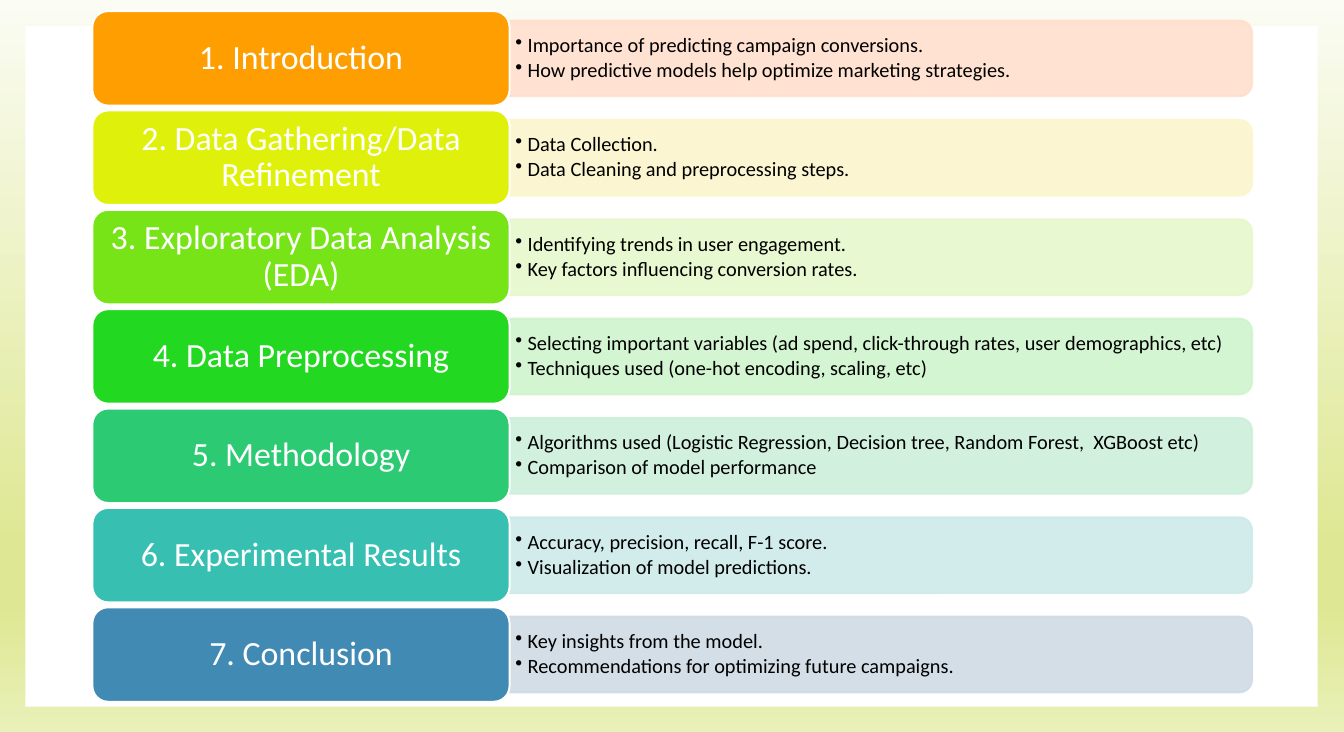
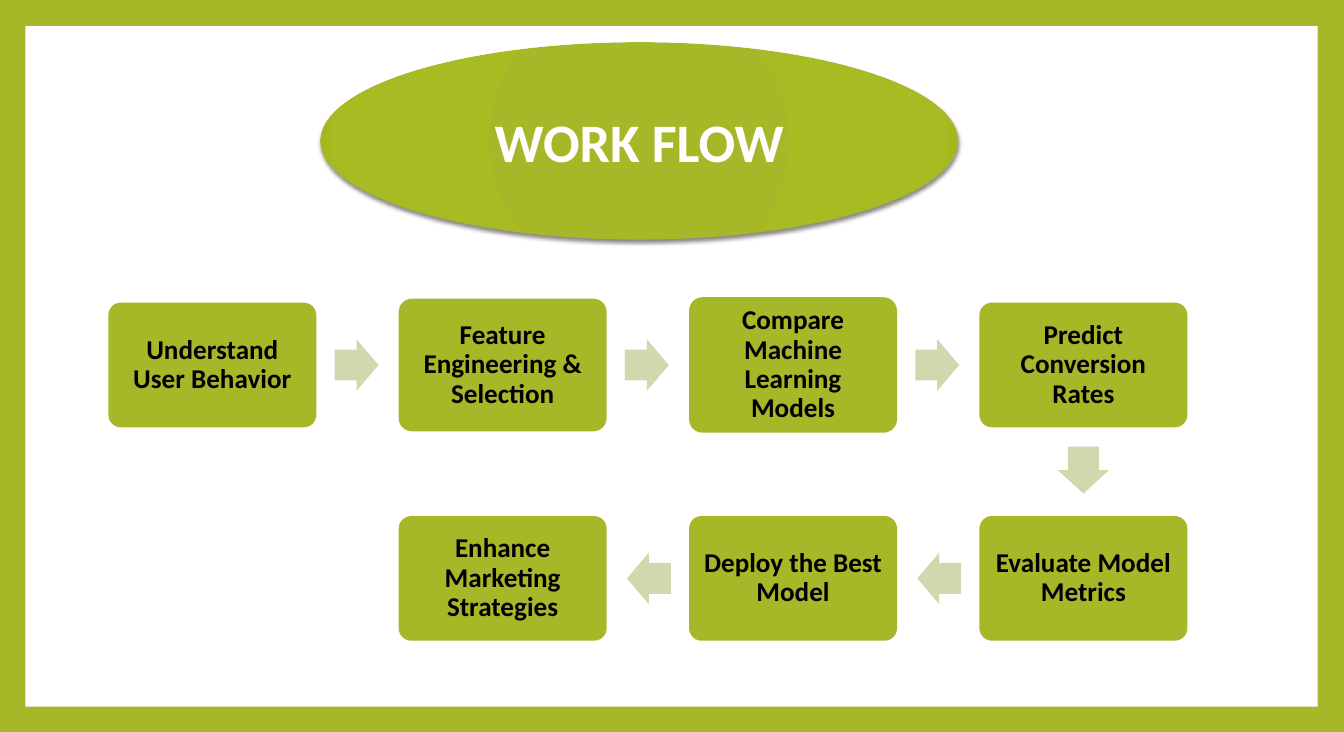
from math import atan2, degrees

from lxml.etree import SubElement
from pptx import Presentation
from pptx.dml.color import RGBColor
from pptx.enum.shapes import MSO_SHAPE as SHAPE
from pptx.enum.text import MSO_ANCHOR, MSO_AUTO_SIZE, PP_ALIGN
from pptx.oxml import parse_xml
from pptx.oxml.ns import nsdecls, qn
from pptx.util import Pt

WHITE = RGBColor(0xFF, 0xFF, 0xFF)
BLACK = RGBColor(0x00, 0x00, 0x00)
LIME = RGBColor(0xA6, 0xB7, 0x27)
PALE = RGBColor(0xD0, 0xD8, 0xAD)
SKY = [
    (0, RGBColor(0xFB, 0xFC, 0xF3)),
    (74, RGBColor(0xDE, 0xE8, 0x94)),
    (83, RGBColor(0xDE, 0xE8, 0x94)),
    (100, RGBColor(0xE9, 0xF0, 0xB8)),
]
GLOW = [(0, LIME), (90, RGBColor(0xA9, 0xBB, 0x23)), (100, RGBColor(0xA1, 0xB3, 0x16))]
DOWN = '<a:lin ang="5400000" scaled="0"/>'
ROUND = (
    '<a:path path="circle"><a:fillToRect l="100000" t="100000" '
    'r="100000" b="100000"/></a:path>'
)

FONT = "Calibri"
WIDE, HIGH = 992.13, 540.25
SHEET = (18.7, 19.3, 954, 502.2)

HEAD = {"size": Pt(25), "name": FONT}
POINT = {"size": Pt(15), "name": FONT}
STEP = {"size": Pt(20), "name": FONT, "bold": True}
TITLE = {"size": Pt(40), "name": FONT, "bold": True}
MID = {"alignment": PP_ALIGN.CENTER, "line_spacing": 0.9}
LEFT = {"alignment": PP_ALIGN.LEFT, "line_spacing": 0.9, "space_after": Pt(2.25)}

TOPICS = [
    ("1. Introduction", RGBColor(0xFE, 0x9E, 0x00), RGBColor(0xFF, 0xDF, 0xCC),
     ["Importance of predicting campaign conversions.",
      "How predictive models help optimize marketing strategies."]),
    ("2. Data Gathering/Data Refinement", RGBColor(0xDF, 0xF1, 0x0B), RGBColor(0xFB, 0xF6, 0xCC),
     ["Data Collection.",
      "Data Cleaning and preprocessing steps."]),
    ("3. Exploratory Data Analysis (EDA)", RGBColor(0x76, 0xE4, 0x16), RGBColor(0xE6, 0xF8, 0xCB),
     ["Identifying trends in user engagement.",
      "Key factors influencing conversion rates."]),
    ("4. Data Preprocessing", RGBColor(0x23, 0xD8, 0x21), RGBColor(0xCF, 0xF4, 0xCC),
     ["Selecting important variables (ad spend, click-through rates, user demographics, etc)",
      "Techniques used (one-hot encoding, scaling, etc)"]),
    ("5. Methodology", RGBColor(0x2C, 0xCB, 0x73), RGBColor(0xCC, 0xEF, 0xDB),
     ["Algorithms used (Logistic Regression, Decision tree, Random Forest,  XGBoost etc)",
      "Comparison of model performance"]),
    ("6. Experimental Results", RGBColor(0x37, 0xBF, 0xB2), RGBColor(0xCE, 0xEA, 0xE9),
     ["Accuracy, precision, recall, F-1 score.",
      "Visualization of model predictions."]),
    ("7. Conclusion", RGBColor(0x41, 0x8A, 0xB3), RGBColor(0xCF, 0xDB, 0xE5),
     ["Key insights from the model.",
      "Recommendations for optimizing future campaigns."]),
]

STEPS = [
    ("Understand User Behavior", 0, 0, 92),
    ("Feature Engineering & Selection", 1, 0, 98),
    ("Compare Machine Learning Models", 2, 0, 100),
    ("Predict Conversion Rates", 3, 0, 92),
    ("Evaluate Model Metrics", 3, 1, 92),
    ("Deploy the Best Model", 2, 1, 92),
    ("Enhance Marketing Strategies", 1, 1, 92),
]


def put(item, form):
    """Set each attribute named in a dict of format values."""
    for key, value in form.items():
        setattr(item, key, value)


def draw(slide, kind, box, fill, line=None, weight=1.5):
    """Add a flat preset shape in a box given in points."""
    shape = slide.shapes.add_shape(kind, *map(Pt, box))
    shape.shadow.inherit = False
    shape.fill.solid()
    shape.fill.fore_color.rgb = fill
    if line is None:
        shape.line.fill.background()
    else:
        shape.line.color.rgb = line
        shape.line.width = Pt(weight)
    return shape


def blend(solid, stops, tail):
    """Replace a solid fill element with a gradient."""
    marks = "".join(
        f'<a:gs pos="{spot * 1000}"><a:srgbClr val="{hue}"/></a:gs>' for spot, hue in stops
    )
    new = parse_xml(
        f'<a:gradFill {nsdecls("a")} rotWithShape="1"><a:gsLst>{marks}</a:gsLst>{tail}</a:gradFill>'
    )
    solid.getparent().replace(solid, new)


def write(shape, lines, font, hue, form, pad, dent=0):
    """Write paragraphs into a shape, with bullets when a dent is given."""
    frame = shape.text_frame
    side, edge = map(Pt, pad)
    put(frame, {
        "word_wrap": True, "auto_size": MSO_AUTO_SIZE.NONE,
        "vertical_anchor": MSO_ANCHOR.MIDDLE, "margin_left": side,
        "margin_right": side, "margin_top": edge, "margin_bottom": edge,
    })
    for num, line in enumerate(lines):
        para = frame.add_paragraph() if num else frame.paragraphs[0]
        if dent:
            props = para._p.get_or_add_pPr()
            props.set("marL", str(Pt(dent)))
            props.set("indent", str(-Pt(dent)))
            SubElement(props, qn("a:buChar")).set("char", "•")
        put(para, form)
        run = para.add_run()
        run.text = line
        for face in (para.font, run.font):
            put(face, font)
            face.color.rgb = hue


def base(deck, layout, hue):
    """Add a slide with a coloured ground and the white sheet behind all else."""
    slide = deck.slides.add_slide(deck.slide_layouts[layout])
    slide.background.fill.solid()
    slide.background.fill.fore_color.rgb = hue
    sheet = draw(slide, SHAPE.RECTANGLE, SHEET, WHITE)
    slide.shapes.element.insert(2, sheet.element)
    return slide


def topic(slide, box, head, hue, tint, points):
    """Place one heading card with its tinted panel of points."""
    left, top, width, height = box
    card, inset = 308, 7
    long, tall = width - card, height - 2 * inset
    panel = draw(
        slide, SHAPE.ROUND_2_SAME_RECTANGLE,
        (left + card + (long - tall) / 2, top + (height - long) / 2, tall, long), tint, tint,
    )
    panel.rotation = 90
    for tone in panel.element.xpath("./p:spPr//a:srgbClr"):
        SubElement(tone, qn("a:alpha")).set("val", "90000")
    spot = (left + card, top + inset, long, tall)
    text = slide.shapes.add_textbox(*map(Pt, spot))
    write(text, points, POINT, BLACK, LEFT, (4.3, 2), 9)
    label = draw(slide, SHAPE.ROUNDED_RECTANGLE, (left, top, card, height), hue, WHITE)
    write(label, [head], HEAD, WHITE, MID, (7, 3.6))


def topics(slide, box):
    """Stack the topics at equal steps in the box."""
    left, top, width, height = box
    tall = 69.8
    pitch = (height - tall) / (len(TOPICS) - 1)
    for num, item in enumerate(TOPICS):
        topic(slide, (left, top + num * pitch, width, tall), *item)


def title(slide, box):
    """Place the title on a shaded ellipse."""
    oval = draw(slide, SHAPE.OVAL, box, LIME, LIME, 0.79)
    blend(oval.element.xpath("./p:spPr/a:solidFill")[0], GLOW, ROUND)
    glow = oval.element.xpath("./p:spPr/a:effectLst")[0]
    glow.append(parse_xml(
        f'<a:outerShdw {nsdecls("a")} blurRad="{Pt(3)}" dist="{Pt(2)}" dir="5400000" '
        'rotWithShape="0"><a:srgbClr val="000000"><a:alpha val="45000"/></a:srgbClr></a:outerShdw>'
    ))
    name = slide.shapes.title
    put(name, dict(zip(("left", "top", "width", "height"), map(Pt, box))))
    write(name, ["WORK FLOW"], TITLE, WHITE, {"alignment": PP_ALIGN.CENTER}, (7.2, 3.6))
    slide.shapes.element.append(name.element)


def flow(slide, box):
    """Place the steps on a grid and join neighbours with block arrows."""
    left, top, width, height = box
    wide, tall = 153.5, 92
    across, down = (width - wide) / 3, height - tall

    def mid(col, row):
        """Give the centre of a grid cell."""
        return left + wide / 2 + col * across, top + tall / 2 + row * down

    for text, col, row, high in STEPS:
        x, y = mid(col, row)
        card = draw(slide, SHAPE.ROUNDED_RECTANGLE, (x - wide / 2, y - high / 2, wide, high), LIME)
        card.adjustments[0] = 0.1
        write(card, [text], STEP, BLACK, MID, (5.8, 5.8))
    for (_, col, row, _), (_, col2, row2, _) in zip(STEPS, STEPS[1:]):
        dx, dy = col2 - col, row2 - row
        x, y = mid(col, row)
        long, gap = (32.4, 13.5) if dx else (34.6, 14.2)
        thick = 38
        x += dx * (wide / 2 + gap + long / 2)
        y += dy * (tall / 2 + gap + long / 2)
        arrow = draw(slide, SHAPE.RIGHT_ARROW, (x - long / 2, y - thick / 2, long, thick), PALE)
        arrow.adjustments[0], arrow.adjustments[1] = 0.6, 0.5
        arrow.rotation = degrees(atan2(dy, dx))


def main():
    """Build the deck."""
    deck = Presentation()
    put(deck, {"slide_width": Pt(WIDE), "slide_height": Pt(HIGH)})
    plan = base(deck, 6, WHITE)
    blend(plan.element.xpath(".//p:bgPr/a:solidFill")[0], SKY, DOWN)
    topics(plan, (68.2, 8.2, 856, 509.8))
    work = base(deck, 5, LIME)
    flow(work, (80, 223.4, 796.5, 249.5))
    title(work, (236.9, 31.7, 470, 144.7))
    deck.save("out.pptx")


if __name__ == "__main__":
    main()
